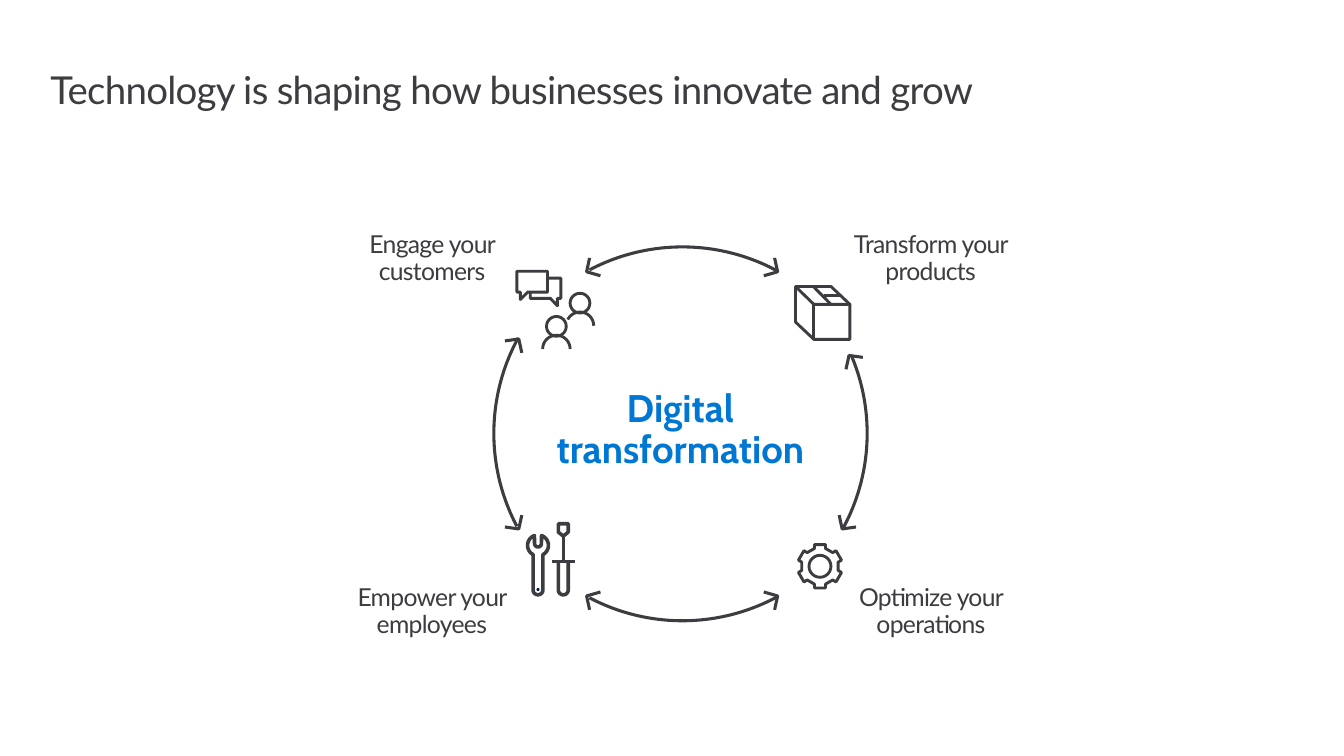
from math import cos, radians, sin

from pptx import Presentation
from pptx.dml.color import RGBColor
from pptx.enum.shapes import MSO_SHAPE
from pptx.enum.text import MSO_ANCHOR, PP_ALIGN
from pptx.util import Pt

ARC, OVAL = MSO_SHAPE.ARC, MSO_SHAPE.OVAL
LEFT, CENTER = PP_ALIGN.LEFT, PP_ALIGN.CENTER
TOP, MIDDLE = MSO_ANCHOR.TOP, MSO_ANCHOR.MIDDLE


class Theme:
    ink = RGBColor(0x3C, 0x3C, 0x41)
    blue = RGBColor(0x00, 0x78, 0xD3)
    navy = RGBColor(0x00, 0x1F, 0x50)
    body_font, accent_font = "Lato", "Cabin"
    large, label = 28, 18
    ring_line, icon_line, tool_line = 2.25, 2.1, 2.6


TITLE = ("Technology is shaping how businesses innovate and grow", (36.7, 49.7, 908, 32.4))
HUB = ("Digital transformation", (393.8, 281.5, 203.8, 64.1))
LABELS = [
    ("Engage your customers", (228.4, 157.3, 172.8, 62.6)),
    ("Transform your products", (584.8, 156.5, 186.5, 64.1)),
    ("Empower your employees", (222.5, 414, 184.3, 64.1)),
    ("Optimize your operations", (575.3, 414, 205.9, 64.1)),
]

RING_RADIUS = 145.2
RING_ARCS = [
    (497.2, 325.1, 242.2, 298.6),
    (486.6, 315.7, 337, 28.6),
    (497.2, 307.1, 61.4, 117.8),
    (505, 315.7, 152.2, 208.6),
]
SIDEWAYS_WINGS = ((-10.1, 2.9), (-2.2, -10.1))
UPRIGHT_WINGS = ((-2.2, -10.1), (10.1, -1.4))
ARROW_TIPS = [
    (566.6, 198, 1, 1, SIDEWAYS_WINGS),
    (427.4, 198, -1, 1, SIDEWAYS_WINGS),
    (566.6, 434.2, 1, -1, SIDEWAYS_WINGS),
    (427.4, 434.2, -1, -1, SIDEWAYS_WINGS),
    (613.6, 385.4, 1, 1, UPRIGHT_WINGS),
    (618.6, 259, 1, -1, UPRIGHT_WINGS),
    (378, 385.4, -1, 1, UPRIGHT_WINGS),
    (378, 247, -1, -1, UPRIGHT_WINGS),
]

FRONT_BUBBLE = [(376.6, 197.6), (398.9, 197.6), (398.9, 212.8), (384.5, 212.8),
                (379.1, 218.2), (379.1, 212.8), (376.6, 212.8)]
BACK_BUBBLE = [(398.9, 202.7), (408.6, 202.7), (408.6, 217.4), (406.1, 217.4),
               (406.1, 222.8), (401, 217.4), (386.3, 217.4), (386.3, 212.8)]
PEOPLE = [(405.4, 237.8, 180), (422.6, 220.9, 207)]
HEAD_RADIUS, SHOULDER_RADIUS, SHOULDER_DROP = 7.2, 10, 16.5

BOX_OUTLINE = [(579.6, 208.8), (605.5, 208.8), (619.2, 221.8), (619.2, 247.3),
               (593, 247.3), (579.6, 234.7)]
BOX_EDGES = [
    [(579.6, 208.8), (593, 221.8), (619.2, 221.8)],
    [(593, 221.8), (593, 247.3)],
    [(592.6, 208.8), (605.5, 221.8)],
    [(600, 215.3), (612.4, 215.3)],
]

GEAR_CENTER, GEAR_HOLE, GEAR_TEETH = (597.4, 412.6), 8, 6
GEAR_TOOTH = [(-4, -13), (-4, -15.8), (4, -15.8), (4, -13)]

BLADE = [(406.8, 381.6), (414, 381.6), (414, 387.7), (410.4, 390.6), (406.8, 387.7)]
SHAFT = [(410.4, 390.6), (410.4, 409)]
GUARD = [(401.8, 409), (419, 409)]
RIVET = (392, 429.5, 1.1)


def arc_points(cx, cy, radius, start, end, steps=24):
    angles = [radians(start + (end - start) * i / steps) for i in range(steps + 1)]
    return [(cx + radius * cos(a), cy + radius * sin(a)) for a in angles]


def add_text(s, text, box, *, font, size, color, align=CENTER, anchor=MIDDLE,
             spacing=0.9, tracking=0, bold=False, inset=(0, 0)):
    sp = s.shapes.add_textbox(*map(Pt, box))
    tf = sp.text_frame
    tf.word_wrap = True
    tf.vertical_anchor = anchor
    tf.margin_left = tf.margin_right = Pt(inset[0])
    tf.margin_top = tf.margin_bottom = Pt(inset[1])
    p = tf.paragraphs[0]
    p.alignment, p.line_spacing = align, spacing
    r = p.add_run()
    r.text = text
    r.font.name, r.font.size, r.font.bold = font, Pt(size), bold
    r.font.color.rgb = color
    r._r.get_or_add_rPr().set("spc", str(tracking))


def outline(sp, width):
    sp.shadow.inherit = False
    sp.fill.background()
    sp.line.color.rgb = Theme.ink
    sp.line.width = Pt(width)


def add_strokes(s, closed=(), opened=(), width=Theme.icon_line):
    builder = None
    for strokes, close in ((closed, True), (opened, False)):
        for stroke in strokes:
            pts = [(Pt(x), Pt(y)) for x, y in stroke]
            if builder:
                builder.move_to(*pts[0])
            else:
                builder = s.shapes.build_freeform(*pts[0], scale=1.0)
            builder.add_line_segments(pts[1:], close=close)
    outline(builder.convert_to_shape(), width)


def add_round(s, kind, cx, cy, radius, width=Theme.icon_line):
    sp = s.shapes.add_shape(kind, Pt(cx - radius), Pt(cy - radius), Pt(2 * radius), Pt(2 * radius))
    outline(sp, width)
    return sp


def draw_ring(s):
    for cx, cy, start, end in RING_ARCS:
        sp = add_round(s, ARC, cx, cy, RING_RADIUS, Theme.ring_line)
        sp.adjustments[0], sp.adjustments[1] = start * 0.6, end * 0.6
    for x, y, sx, sy, wings in ARROW_TIPS:
        first, last = [(x + sx * dx, y + sy * dy) for dx, dy in wings]
        add_strokes(s, opened=[[first, (x, y), last]], width=Theme.ring_line)


def draw_customers(s):
    add_strokes(s, [FRONT_BUBBLE], [BACK_BUBBLE])
    heads = [arc_points(cx, cy, HEAD_RADIUS, 0, 360) for cx, cy, _ in PEOPLE]
    shoulders = [arc_points(cx, cy + SHOULDER_DROP, SHOULDER_RADIUS, start, 360)
                 for cx, cy, start in PEOPLE]
    add_strokes(s, heads, shoulders)


def draw_box(s):
    add_strokes(s, [BOX_OUTLINE], BOX_EDGES)


def draw_gear(s):
    cx, cy = GEAR_CENTER
    teeth = []
    for i in range(GEAR_TEETH):
        a = radians(360 / GEAR_TEETH * i)
        teeth += [(cx + x * cos(a) - y * sin(a), cy + x * sin(a) + y * cos(a)) for x, y in GEAR_TOOTH]
    add_strokes(s, [teeth, arc_points(cx, cy, GEAR_HOLE, 0, 360)])


def draw_tools(s):
    handle = [(406.8, 409)] + arc_points(410.4, 429.8, 3.6, 180, 0) + [(414, 409)]
    add_strokes(s, [BLADE], [SHAFT, GUARD, handle], Theme.tool_line)
    wrench = (arc_points(392, 396, 2.5, 180, 0) + arc_points(392, 397.4, 7.6, -70, 62)
              + arc_points(392, 429.8, 3.6, 0, 180) + arc_points(392, 397.4, 7.6, 118, 250))
    add_strokes(s, [wrench], width=Theme.tool_line)
    sp = add_round(s, OVAL, *RIVET)
    sp.fill.solid()
    sp.fill.fore_color.rgb = Theme.navy
    sp.line.fill.background()


def main():
    prs = Presentation()
    prs.slide_width, prs.slide_height = Pt(979.2), Pt(550.8)
    s = prs.slides.add_slide(prs.slide_layouts[6])
    add_text(s, *TITLE, font=Theme.body_font, size=Theme.large, color=Theme.ink,
             align=LEFT, anchor=TOP, spacing=Pt(32), tracking=-50)
    for text, box in LABELS:
        add_text(s, text, box, font=Theme.body_font, size=Theme.label, color=Theme.ink,
                 tracking=-50, inset=(14.4, 11.5))
    add_text(s, *HUB, font=Theme.accent_font, size=Theme.large, color=Theme.blue, bold=True)
    for draw in (draw_ring, draw_customers, draw_box, draw_gear, draw_tools):
        draw(s)
    prs.save("out.pptx")


if __name__ == "__main__":
    main()
